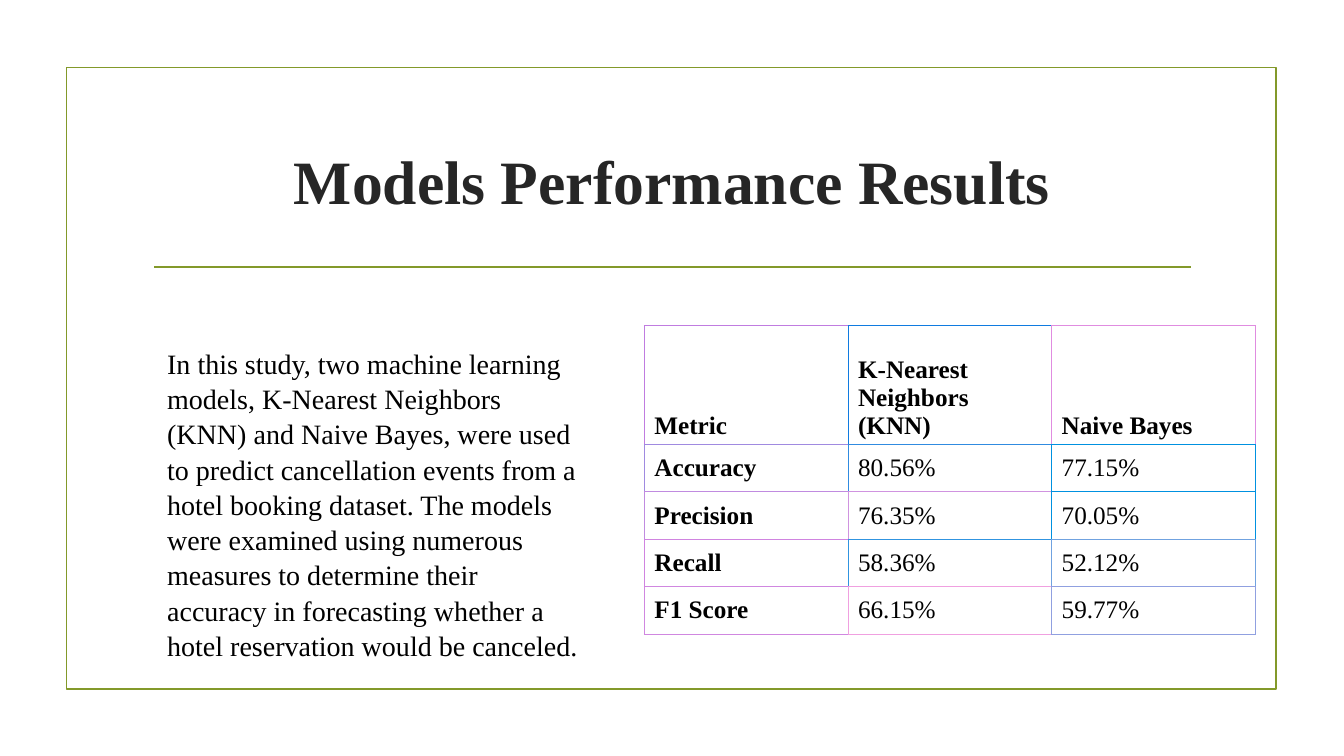
"""Build a slide comparing the performance of two classification models."""
from lxml.etree import SubElement
from pptx import Presentation
from pptx.dml.color import RGBColor as RGB
from pptx.enum.shapes import MSO_CONNECTOR as CONNECTOR, MSO_SHAPE as SHAPE
from pptx.enum.text import MSO_ANCHOR as ANCHOR, PP_ALIGN as ALIGN
from pptx.oxml.ns import qn
from pptx.util import Inches, Pt

W, H = Inches(13.33), Inches(7.5)
FONT = "Times New Roman"
COLORS = {"olive": "83992A", "title": "262626", "text": "000000", "cell": "FFFFFF"}
BODY = (
    "In this study, two machine learning models, K-Nearest Neighbors (KNN) and "
    "Naive Bayes, were used to predict cancellation events from a hotel booking "
    "dataset. The models were examined using numerous measures to determine their "
    "accuracy in forecasting whether a hotel reservation would be canceled."
)
RESULTS = [
    ["Metric", "K-Nearest Neighbors (KNN)", "Naive Bayes"],
    ["Accuracy", "80.56%", "77.15%"],
    ["Precision", "76.35%", "70.05%"],
    ["Recall", "58.36%", "52.12%"],
    ["F1 Score", "66.15%", "59.77%"],
]
CELL_BORDERS = [
    ["C07CE0", "107BE0", "E08CE0"],
    ["A08AE0", "308BE0", "0091E0"],
    ["C08BE0", "D093E0", "0091E0"],
    ["D084E0", "3094E0", "70A2E0"],
    ["D087E0", "F0A0E0", "90A0E0"],
]


def x(percent):
    """Return a share of the slide's width."""
    return int(W * percent / 100)


def y(percent):
    """Return a share of the slide's height."""
    return int(H * percent / 100)


def box(left, top, width, height):
    """Turn percentages into a position and size."""
    return x(left), y(top), x(width), y(height)


def write(tf, text, size=18, color="text", bold=False, align=ALIGN.LEFT, spacing=None):
    """Put formatted text in a text frame."""
    tf.word_wrap = True
    p = tf.paragraphs[0]
    p.alignment = align
    p.line_spacing = spacing
    r = p.add_run()
    r.text = text
    r.font.name, r.font.size, r.font.bold = FONT, Pt(size), bold
    r.font.color.rgb = RGB.from_string(COLORS[color])


def add_text(slide, area, text, anchor=ANCHOR.TOP, **style):
    """Add a text box."""
    tf = slide.shapes.add_textbox(*area).text_frame
    tf.vertical_anchor = anchor
    write(tf, text, **style)


def outline(sp):
    """Give a shape the olive line."""
    sp.line.color.rgb = RGB.from_string(COLORS["olive"])
    sp.line.width = Pt(1.25)


def add_frame(slide, area):
    """Add an unfilled rectangle."""
    sp = slide.shapes.add_shape(SHAPE.RECTANGLE, *area)
    sp.shadow.inherit = False
    sp.fill.background()
    outline(sp)


def add_rule(slide, left, right, top):
    """Add a horizontal line."""
    line = slide.shapes.add_connector(CONNECTOR.STRAIGHT, x(left), y(top), x(right), y(top))
    outline(line)
    SubElement(line._element.spPr, qn("a:effectLst"))


def set_borders(cell, row, col):
    """Draw cell borders, sharing each inner edge with the next cell."""
    below = min(row + 1, len(RESULTS) - 1)
    right = min(col + 1, len(RESULTS[0]) - 1)
    edges = [
        ("a:lnL", CELL_BORDERS[row][col], 0.6),
        ("a:lnR", CELL_BORDERS[row][right], 0.6),
        ("a:lnT", CELL_BORDERS[row][col], 1 if row else 0.6),
        ("a:lnB", CELL_BORDERS[below][col], 1 if below > row else 0.6),
    ]
    tc_pr = cell._tc.get_or_add_tcPr()
    for i, (tag, color, width) in enumerate(edges):
        ln = tc_pr.makeelement(qn(tag), {"w": str(Pt(width))})
        fill = SubElement(ln, qn("a:solidFill"))
        SubElement(fill, qn("a:srgbClr"), val=color)
        tc_pr.insert(i, ln)


def add_results(slide, area, header_height, row_height):
    """Add the table of metrics."""
    table = slide.shapes.add_table(len(RESULTS), len(RESULTS[0]), *area).table
    table.horz_banding = False
    for i, row in enumerate(RESULTS):
        table.rows[i].height = y(row_height if i else header_height)
        for j, text in enumerate(row):
            cell = table.cell(i, j)
            cell.fill.solid()
            cell.fill.fore_color.rgb = RGB.from_string(COLORS["cell"])
            cell.vertical_anchor = ANCHOR.MIDDLE if i else ANCHOR.BOTTOM
            write(cell.text_frame, text, bold=i == 0 or j == 0)
            set_borders(cell, i, j)


def main():
    """Build and save the slide."""
    prs = Presentation()
    prs.slide_width, prs.slide_height = W, H
    s = prs.slides.add_slide(prs.slide_layouts[6])
    add_frame(s, box(4.95, 8.93, 90.02, 82.27))
    add_rule(s, 11.48, 88.6, 35.33)
    add_text(s, box(10.65, 14.27, 78.77, 19.07), "Models Performance Results",
             anchor=ANCHOR.MIDDLE, size=44, color="title", bold=True, align=ALIGN.CENTER)
    add_results(s, box(47.94, 43.07, 45.46, 40.81), 15.73, 6.27)
    add_text(s, box(11.7, 44.93, 32.48, 47.07), BODY, size=20, spacing=1.05)
    prs.save("out.pptx")


if __name__ == "__main__":
    main()
